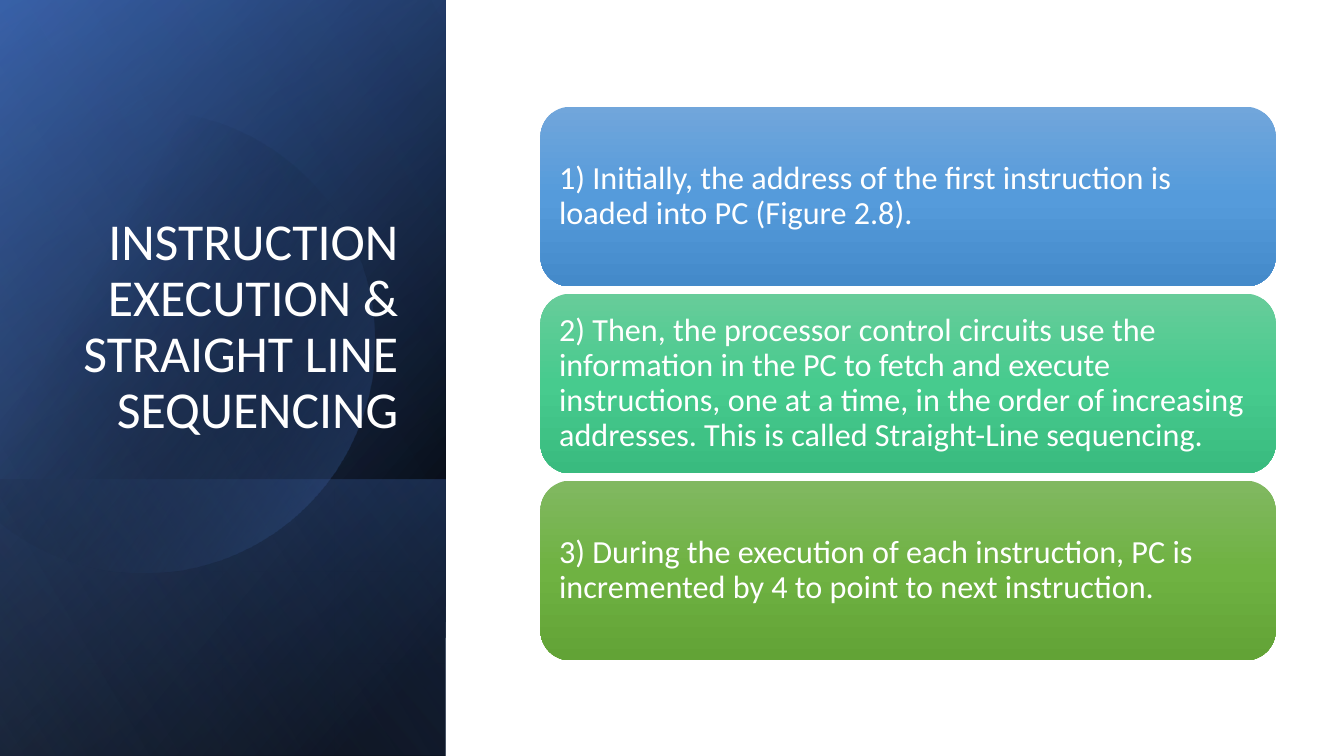
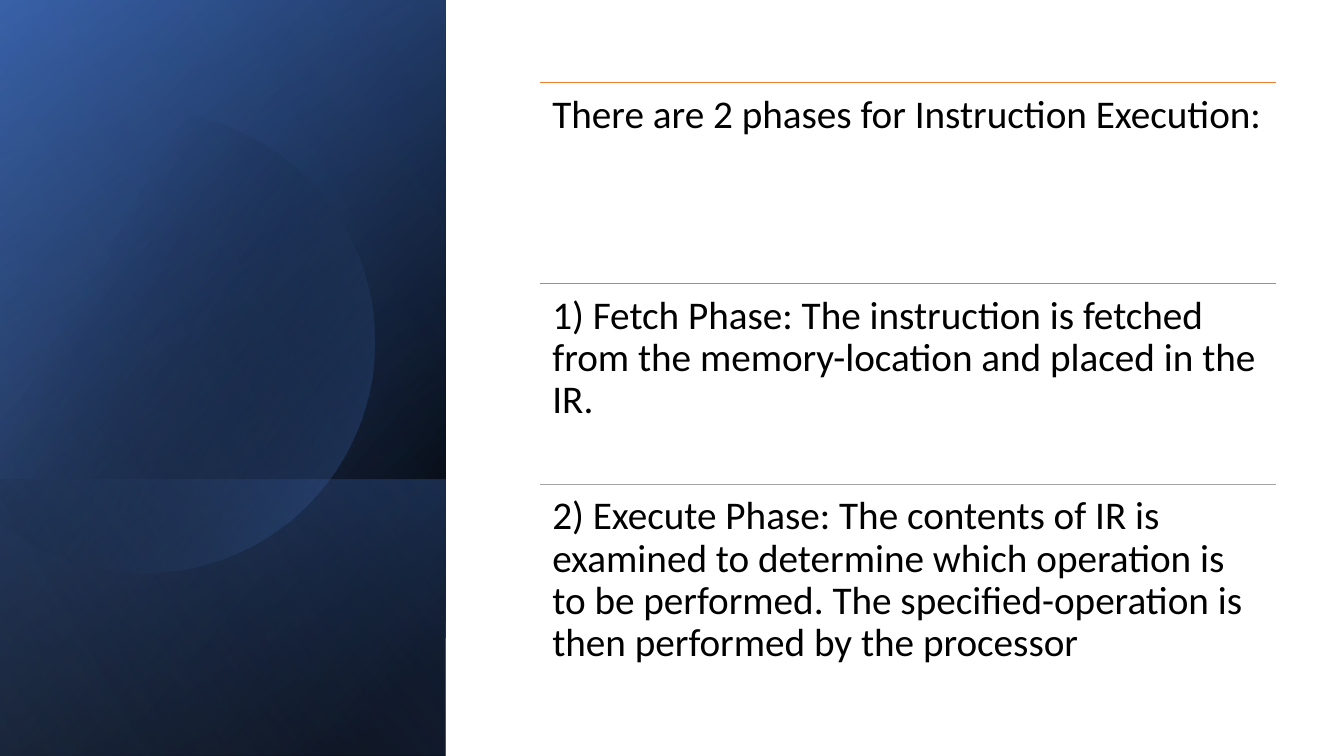
from dataclasses import dataclass
from math import acos, cos, pi, sin

from lxml.etree import SubElement
from pptx import Presentation
from pptx.dml.color import RGBColor
from pptx.enum.shapes import MSO_CONNECTOR, MSO_SHAPE
from pptx.enum.text import MSO_ANCHOR, MSO_AUTO_SIZE, PP_ALIGN
from pptx.oxml import parse_xml
from pptx.oxml.ns import nsdecls, qn
from pptx.util import Cm, Pt

TITLE = "INSTRUCTION EXECUTION & STRAIGHT LINE SEQUENCING"
STEPS = [
    "1) Initially, the address of the first instruction is loaded into PC (Figure 2.8).",
    "2) Then, the processor control circuits use the information in the PC to fetch and "
    "execute instructions, one at a time, in the order of increasing addresses. "
    "This is called Straight-Line sequencing.",
    "3) During the execution of each instruction, PC is incremented by 4 to point to "
    "next instruction.",
]
PHASES = [
    "There are 2 phases for Instruction Execution:",
    "1) Fetch Phase: The instruction is fetched from the memory-location and placed in the IR.",
    "2) Execute Phase: The contents of IR is examined to determine which operation is to be "
    "performed. The specified-operation is then performed by the processor",
]


@dataclass(frozen=True)
class Theme:
    font: str = "Calibri"
    light: str = "FFFFFF"
    dark: str = "000000"
    blue: str = "4472C4"
    deep_blue: str = "2F5597"
    pale_blue: str = "8FAADC"
    steps: tuple = (
        ("71A6DB", "559BDB", "448ACA"),
        ("67CC9A", "47CB8E", "39BB7F"),
        ("81B861", "6FB242", "62A336"),
    )
    rules: tuple = ("ED7D31", "C48170", "A5A5A5")
    title_size: int = 37
    step_size: int = 23
    phase_size: int = 28
    rule_width: float = 0.5


THEME = Theme()

# All lengths below are centimetres.
SLIDE_W, SLIDE_H = 33.87, 19.05
PANEL_W = 11.23
BAND_H = 6.96
CIRCLE_X, CIRCLE_Y, CIRCLE_R = 3.63, 8.61, 5.81
BODY_X, BODY_W = 13.62, 18.53
STEP_TOP, STEP_H, STEP_GAP = 2.69, 4.53, 0.18
PHASE_TOP, PHASE_H = 2.08, 5.06

# Gradient stops: position %, colour, opacity %.
FULL_LAYERS = {
    "base": (50, [(8, THEME.dark, 100), (100, THEME.deep_blue, 100)]),
    "glow": (30, [(0, THEME.dark, 0), (99, THEME.blue, 46)]),
    "sheen": (120, [(0, THEME.dark, 0), (99, THEME.pale_blue, 11)]),
}
BAND_FILL = (130, [(2, THEME.blue, 29), (100, THEME.dark, 30)])
CIRCLE_FILL = (30, [(29, THEME.dark, 0), (100, THEME.blue, 43)])


def apply_gradient(shape, angle, stops):
    """Give the shape a borderless linear gradient, angle clockwise in degrees."""
    shape.shadow.inherit = False
    shape.line.fill.background()
    shape.fill.background()
    stop_xml = "".join(
        f'<a:gs pos="{pos * 1000}"><a:srgbClr val="{color}">'
        f'<a:alpha val="{opacity * 1000}"/></a:srgbClr></a:gs>'
        for pos, color, opacity in stops
    )
    gradient = parse_xml(
        f'<a:gradFill {nsdecls("a")} rotWithShape="1"><a:gsLst>{stop_xml}</a:gsLst>'
        f'<a:lin ang="{angle * 60000}" scaled="0"/></a:gradFill>'
    )
    properties = shape.element.spPr
    properties.replace(properties.find(qn("a:noFill")), gradient)


def write_text(shape, text, size, color, margin, anchor, align=PP_ALIGN.LEFT):
    frame = shape.text_frame
    frame.text = text
    paragraph = frame.paragraphs[0]
    formats = [
        (frame, {
            "word_wrap": True, "auto_size": MSO_AUTO_SIZE.NONE, "vertical_anchor": anchor,
            **{f"margin_{side}": Cm(margin) for side in ("left", "top", "right", "bottom")},
        }),
        (paragraph, {"alignment": align, "line_spacing": 0.9}),
        (paragraph.runs[0].font, {"name": THEME.font, "size": Pt(size)}),
    ]
    for target, values in formats:
        for attribute, value in values.items():
            setattr(target, attribute, value)
    paragraph.runs[0].font.color.rgb = RGBColor.from_string(color)


def add_panel_layer(slide, height, fill):
    """Add a mirrored quarter-turned rectangle that fills the panel's foot up to height."""
    left = (PANEL_W - height) / 2
    top = SLIDE_H - (height + PANEL_W) / 2
    layer = slide.shapes.add_shape(
        MSO_SHAPE.RECTANGLE, Cm(left), Cm(top), Cm(height), Cm(PANEL_W))
    layer.rotation = 90
    layer.element.spPr.xfrm.set("flipH", "1")
    apply_gradient(layer, *fill)


def add_circle(slide, segments=120):
    """Add the circle, cut off straight at the slide's left edge."""
    reach = acos(-CIRCLE_X / CIRCLE_R)
    angles = [-reach + 2 * reach * i / segments for i in range(segments + 1)]
    points = [(Cm(CIRCLE_X + CIRCLE_R * cos(a)), Cm(CIRCLE_Y + CIRCLE_R * sin(a)))
              for a in angles]
    builder = slide.shapes.build_freeform(*points[0])
    builder.add_line_segments(points[1:], close=True)
    apply_gradient(builder.convert_to_shape(), *CIRCLE_FILL)


def add_panel(slide):
    add_panel_layer(slide, SLIDE_H, FULL_LAYERS["base"])
    add_panel_layer(slide, SLIDE_H, FULL_LAYERS["glow"])
    add_panel_layer(slide, BAND_H, BAND_FILL)
    add_circle(slide)
    add_panel_layer(slide, SLIDE_H, FULL_LAYERS["sheen"])


def add_title(slide):
    title = slide.shapes.title
    title.element.getparent().append(title.element)  # in front of the panel
    place = {"left": 1.63, "top": 4.67, "width": 8.66, "height": 6.65}
    for attribute, value in place.items():
        setattr(title, attribute, Cm(value))
    write_text(title, TITLE, THEME.title_size, THEME.light, 0.25,
               MSO_ANCHOR.BOTTOM, PP_ALIGN.RIGHT)


def add_steps(slide):
    for row, (text, colors) in enumerate(zip(STEPS, THEME.steps)):
        top = STEP_TOP + row * (STEP_H + STEP_GAP)
        card = slide.shapes.add_shape(
            MSO_SHAPE.ROUNDED_RECTANGLE, Cm(BODY_X), Cm(top), Cm(BODY_W), Cm(STEP_H))
        apply_gradient(card, 90, [(pos, c, 100) for pos, c in zip((0, 50, 100), colors)])
        write_text(card, text, THEME.step_size, THEME.light, 0.25, MSO_ANCHOR.MIDDLE)


def add_phases(slide):
    for row, (text, color) in enumerate(zip(PHASES, THEME.rules)):
        top = Cm(PHASE_TOP + row * PHASE_H)
        rule = slide.shapes.add_connector(
            MSO_CONNECTOR.STRAIGHT, Cm(BODY_X), top, Cm(BODY_X + BODY_W), top)
        rule.line.color.rgb = RGBColor.from_string(color)
        rule.line.width = Pt(THEME.rule_width)
        SubElement(rule.element.spPr, qn("a:effectLst"))
        phase = slide.shapes.add_textbox(Cm(BODY_X), top, Cm(BODY_W), Cm(PHASE_H))
        write_text(phase, text, THEME.phase_size, THEME.dark, 0.3, MSO_ANCHOR.TOP)


def main():
    deck = Presentation()
    deck.slide_width, deck.slide_height = Cm(SLIDE_W), Cm(SLIDE_H)
    title_only, blank = deck.slide_layouts[5], deck.slide_layouts[6]
    for layout, parts in ((title_only, (add_panel, add_title, add_steps)),
                          (blank, (add_panel, add_phases))):
        slide = deck.slides.add_slide(layout)
        for add_part in parts:
            add_part(slide)
    deck.save("out.pptx")


if __name__ == "__main__":
    main()
